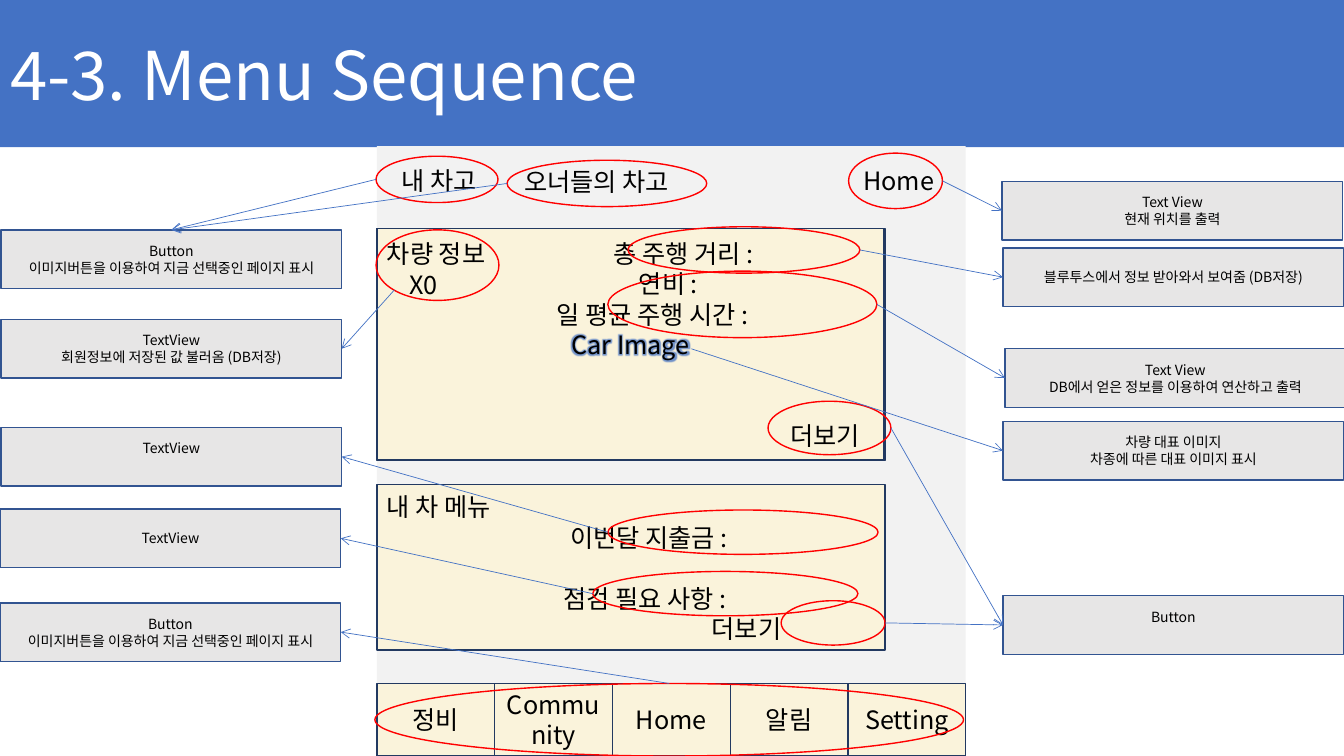
from lxml import etree
from pptx import Presentation
from pptx import util as u
from pptx.dml.color import RGBColor
from pptx.enum import shapes, text
from pptx.oxml import parse_xml
from pptx.oxml.ns import qn

FONT = "Noto Sans CJK KR"
COLORS = {
    "blue": "4472C4", "phone": "F2F2F2", "cream": "FAF3DB", "navy": "223961",
    "note": "E7E6E6", "note_line": "325491", "red": "FF0000",
    "black": "000000", "white": "FFFFFF",
}

TITLE = "4-3. Menu Sequence"
PHONE = (269.3, 104.4, 420.5, 435.6)
TABS = ["정비", "Community", "Home", "알림", "Setting"]
TAB_TOP, TAB_HEIGHT = 488.2, 51.8
HEADERS = [
    ("내 차고", (271.4, 103, 84.2, 51.8)),
    ("오너들의 차고", (354.2, 103.7, 144, 51.8)),
    ("Home", (599.8, 103, 84.2, 51.8)),
]
CARDS = [
    ((269.3, 163.4, 362.9, 165.6), [
        ("차량 정보", 0, 0),
        ("X0", 16, 0),
        ("일 평균 주행 시간 :", 121, 0),
        ("더보기", 288, 65),
    ]),
    ((269.3, 346.3, 362.9, 118.1), [
        ("내 차 메뉴", 0, 0),
        ("이번달 지출금 :", 131, 0),
        ("점검 필요 사항 :", 126, 22),
        ("더보기", 232, 0),
    ]),
]
METRICS_AREA = (269.3, 166.8, 362.9, 50.4)
METRICS = [("총 주행 거리 :", 162, 0), ("연비 :", 180, 0)]
CAR_IMAGE = (269.3, 163.4, 362.2, 164.9)

NOTE_WIDTH, NOTE_HEIGHT, RAISED = 243.4, 41.8, 12
NOTES = {
    "distance": (716.4, 177.1, ["블루투스에서 정보 받아와서 보여줌 (DB저장)"], 0),
    "image": (716.4, 301, ["차량 대표 이미지", "차종에 따른 대표 이미지 표시"], 0),
    "page": (0.7, 164.2, ["Button", "이미지버튼을 이용하여 지금 선택중인 페이지 표시"], 0),
    "member": (0.7, 228.2, ["TextView", "회원정보에 저장된 값 불러옴 (DB저장)"], 0),
    "more": (716.4, 425.5, ["Button"], RAISED),
    "tabs": (0, 430.6, ["Button", "이미지버튼을 이용하여 지금 선택중인 페이지 표시"], 0),
    "check": (0, 363.6, ["TextView"], 0),
    "spending": (0.7, 305.3, ["TextView"], RAISED),
    "average": (717.8, 249.1, ["Text View", "DB에서 얻은 정보를 이용하여 연산하고 출력"], 0),
    "location": (715.7, 129.6, ["Text View", "현재 위치를 출력"], 0),
}
RINGS = {
    "distance": (448.6, 162, 165.6, 33.1),
    "owners": (362.2, 114.5, 142.6, 33.1),
    "garage": (268.6, 111.6, 87.1, 33.1),
    "car": (268.6, 164.2, 87.8, 50.4),
    "car more": (548.6, 286.6, 87.8, 38.2),
    "menu more": (558, 429.1, 74.2, 31.7),
    "tabs": (267.8, 488.2, 420.5, 51.8),
    "spending": (434.2, 364.3, 193, 31.7),
    "check": (423.4, 408.2, 189.4, 31.7),
    "average": (434.2, 193.7, 192.2, 47.5),
    "home": (606.2, 109.4, 67, 39.6),
}
TOP, LEFT, RIGHT = 0, 1, 3
ARROWS = [
    ("distance", 1, 0.5, "distance", LEFT),
    ("car more", 1, 0.5, "more", LEFT),
    ("menu more", 1, 0.5, "more", LEFT),
    ("tabs", 0.5, 0, "tabs", RIGHT),
    ("image", 0.62, 0.52, "image", LEFT),
    ("garage", 0, 0.5, "page", TOP),
    ("owners", 0, 0.5, "page", TOP),
    ("car", 0.15, 0.85, "member", RIGHT),
    ("check", 0, 0.5, "check", RIGHT),
    ("spending", 0, 0.5, "spending", RIGHT),
    ("average", 1, 0.5, "average", LEFT),
    ("home", 1, 0.5, "location", LEFT),
]


def rgb(name):
    return RGBColor.from_string(COLORS[name])


def points(values):
    return [u.Pt(value) for value in values]


def set_font(font, size, color="black"):
    font.name, font.size = FONT, u.Pt(size)
    font.color.rgb = rgb(color)


def add_box(area, fill=None, line=None, kind=shapes.MSO_SHAPE.RECTANGLE):
    shape = slide.shapes.add_shape(kind, *points(area))
    shape.shadow.inherit = False
    if fill:
        shape.fill.solid()
        shape.fill.fore_color.rgb = rgb(fill)
    else:
        shape.fill.background()
    if line:
        shape.line.color.rgb = rgb(line)
        shape.line.width = u.Pt(1)
    else:
        shape.line.fill.background()
    return shape


def write(shape, lines, size, align=text.PP_ALIGN.CENTER, color="black"):
    frame = shape.text_frame
    frame.word_wrap = True
    frame.vertical_anchor = text.MSO_ANCHOR.MIDDLE
    frame.text = "\n".join(lines)
    for paragraph in frame.paragraphs:
        paragraph.alignment = align
        set_font(paragraph.font, size, color)


def write_rows(shape, rows):
    write(shape, [row[0] for row in rows], 18, text.PP_ALIGN.LEFT)
    for paragraph, (_, indent, gap) in zip(shape.text_frame.paragraphs, rows):
        if gap:
            paragraph.space_before = u.Pt(gap)
        properties = paragraph._p.get_or_add_pPr()
        properties.set("marL", str(u.Pt(indent)))
        properties.set("indent", "0")


presentation = Presentation()
presentation.slide_width, presentation.slide_height = points((960, 540))
slide = presentation.slides.add_slide(presentation.slide_layouts[5])

title = slide.shapes.title
title.left, title.top, title.width, title.height = points((0, 0, 960, 105.1))
title.fill.solid()
title.fill.fore_color.rgb = rgb("blue")
write(title, [TITLE], 48, text.PP_ALIGN.LEFT, "white")

add_box(PHONE, "phone")
tab_width = PHONE[2] / len(TABS)
for index, label in enumerate(TABS):
    area = (PHONE[0] + index * tab_width, TAB_TOP, tab_width, TAB_HEIGHT)
    write(add_box(area, "cream", "navy"), [label], 18)
for label, area in HEADERS:
    write(slide.shapes.add_textbox(*points(area)), [label], 18)
for area, rows in CARDS:
    write_rows(add_box(area, "cream", "navy"), rows)
write_rows(slide.shapes.add_textbox(*points(METRICS_AREA)), METRICS)

car_image = add_box(CAR_IMAGE, line="navy")
write(car_image, ["Car Image"], 18)
run = car_image.text_frame.paragraphs[0].runs[0]
set_font(run.font, 18)
glow = parse_xml(
    '<a:effectLst xmlns:a="http://schemas.openxmlformats.org/drawingml/2006/main">'
    f'<a:glow rad="{u.Pt(5)}"><a:srgbClr val="{COLORS["blue"]}">'
    '<a:alpha val="75000"/></a:srgbClr></a:glow></a:effectLst>')
run.font._element.find(qn("a:solidFill")).addnext(glow)

notes = {}
for name, (left, top, lines, raise_by) in NOTES.items():
    note = add_box((left, top, NOTE_WIDTH, NOTE_HEIGHT), "note", "note_line")
    write(note, lines, 10)
    note.text_frame.margin_bottom = u.Pt(3.6 + raise_by)
    notes[name] = note

for area in RINGS.values():
    add_box(area, line="red", kind=shapes.MSO_SHAPE.OVAL)

sources = {**RINGS, "image": CAR_IMAGE}
for source, across, down, target, side in ARROWS:
    left, top, width, height = sources[source]
    start = points((left + across * width, top + down * height))
    arrow = slide.shapes.add_connector(shapes.MSO_CONNECTOR.STRAIGHT, *start, *start)
    arrow.end_connect(notes[target], side)
    arrow.line.color.rgb = rgb("blue")
    arrow.line.width = u.Pt(0.5)
    etree.SubElement(arrow.line._get_or_add_ln(), qn("a:tailEnd"), type="arrow")
    etree.SubElement(arrow._element.spPr, qn("a:effectLst"))

presentation.save("out.pptx")
